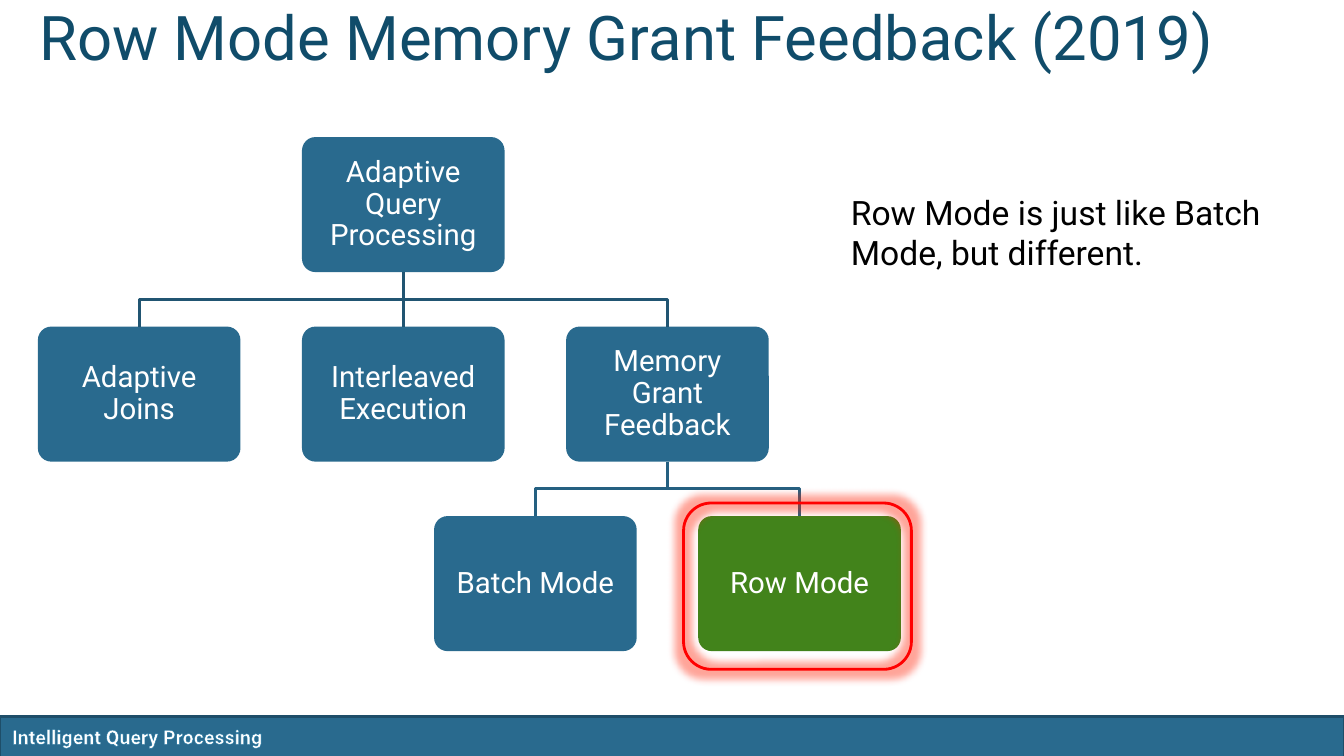
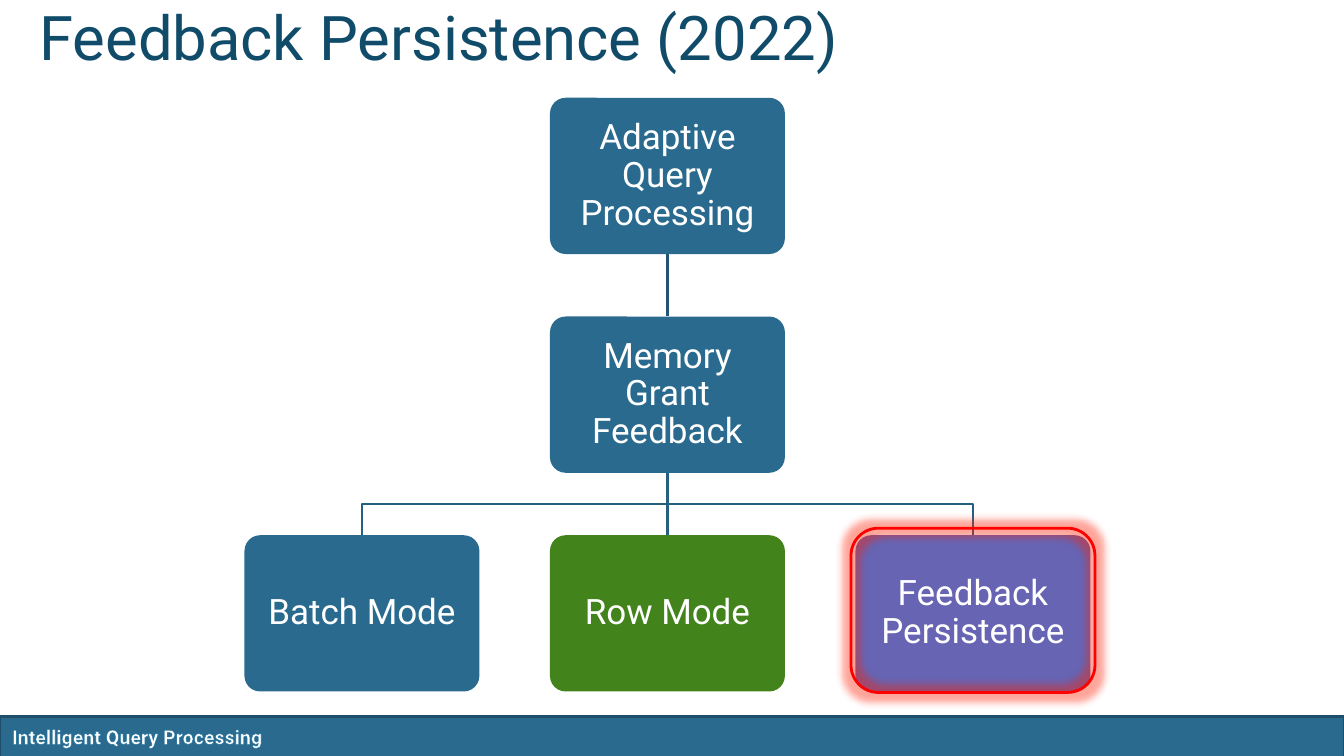
"""Build two slides of tree diagrams on intelligent query processing."""
from dataclasses import dataclass
from typing import Any

from lxml import etree
from pptx import Presentation
from pptx.dml.color import RGBColor
from pptx.enum.shapes import MSO_CONNECTOR, MSO_SHAPE
from pptx.enum.text import MSO_ANCHOR, MSO_AUTO_SIZE, PP_ALIGN
from pptx.oxml.ns import qn
from pptx.util import Inches, Pt

ROUNDED = MSO_SHAPE.ROUNDED_RECTANGLE
RECTANGLE = MSO_SHAPE.RECTANGLE
STRAIGHT = MSO_CONNECTOR.STRAIGHT
TOP, MIDDLE = MSO_ANCHOR.TOP, MSO_ANCHOR.MIDDLE
NO_FIT, GROW = MSO_AUTO_SIZE.NONE, MSO_AUTO_SIZE.SHAPE_TO_FIT_TEXT
LEFT, CENTER = PP_ALIGN.LEFT, PP_ALIGN.CENTER

FONT = "Roboto"
WHITE = RGBColor(0xFF, 0xFF, 0xFF)
BLACK = RGBColor(0x00, 0x00, 0x00)
BLUE = RGBColor(0x29, 0x6A, 0x8E)
GREEN = RGBColor(0x42, 0x83, 0x1B)
PURPLE = RGBColor(0x66, 0x64, 0xB3)
RED = RGBColor(0xFF, 0x00, 0x00)
GLOW = RGBColor(0xFF, 0x1E, 0x00)
TITLE_BLUE = RGBColor(0x10, 0x4C, 0x6A)
BAND_EDGE = RGBColor(0x1E, 0x4E, 0x69)
FOOTER_EDGE = RGBColor(0x18, 0x72, 0xA0)
BRANCH_COLORS = (RGBColor(0x21, 0x55, 0x72), RGBColor(0x25, 0x60, 0x81))
TITLE_FRAME = {"vertical_anchor": TOP, "auto_size": NO_FIT, "word_wrap": True}
TEXT_FRAME = {"vertical_anchor": TOP, "auto_size": GROW, "word_wrap": True}


@dataclass(frozen=True)
class Area:
    """A rectangle in inches."""
    left: float
    top: float
    width: float
    height: float

    def lengths(self) -> list[Any]:
        """Return the four measures as lengths."""
        return [Inches(v) for v in (self.left, self.top, self.width, self.height)]


@dataclass(frozen=True)
class Node:
    """A tree box: its column, level and the index of its parent."""
    text: str
    column: float
    level: int
    parent: int | None = None
    fill: RGBColor = BLUE


@dataclass(frozen=True)
class Tree:
    """A tree and the rules of its grid."""
    center: float
    top: float
    column_step: float
    level_step: float
    width: float
    height: float
    size: int
    margin: float
    nodes: tuple[Node, ...]

    def area(self, node: Node) -> Area:
        """Return the place of a node."""
        middle = self.center + node.column * self.column_step
        return Area(middle - self.width / 2, self.top + node.level * self.level_step,
                    self.width, self.height)


@dataclass(frozen=True)
class Page:
    """The content of one slide."""
    title: str
    tree: Tree
    highlight: Area
    note: str = ""


ROOT = Node("Adaptive Query Processing", 0, 0)
PAGES = (
    Page("Row Mode Memory Grant Feedback (2019)",
         Tree(4, 1.36, 2.62, 1.88, 2.01, 1.34, 21, 0.09, (
             ROOT,
             Node("Adaptive Joins", -1, 1, 0),
             Node("Interleaved Execution", 0, 1, 0),
             Node("Memory Grant Feedback", 1, 1, 0),
             Node("Batch Mode", 0.5, 2, 3),
             Node("Row Mode", 1.5, 2, 3, GREEN))),
         Area(6.78, 4.99, 2.26, 1.65),
         "Row Mode is just like Batch Mode, but different."),
    Page("Feedback Persistence (2022)",
         Tree(6.62, 0.97, 3.03, 2.17, 2.33, 1.55, 25, 0.1, (
             ROOT,
             Node("Memory Grant Feedback", 0, 1, 0),
             Node("Batch Mode", -1, 2, 1),
             Node("Row Mode", 0, 2, 1, GREEN),
             Node("Feedback Persistence", 1, 2, 1, PURPLE))),
         Area(8.44, 5.24, 2.42, 1.63)),
)


def apply_format(target: Any, values: dict[str, Any]) -> None:
    """Set each named attribute of the target."""
    for name, value in values.items():
        setattr(target, name, value)


def write_text(box: Any, text: str, size: int, color: RGBColor,
               frame_format: dict[str, Any], para_format: dict[str, Any],
               bold: bool = False) -> Any:
    """Write one formatted paragraph and return its span."""
    frame = box.text_frame
    apply_format(frame, frame_format)
    para = frame.paragraphs[0]
    apply_format(para, para_format)
    span = para.add_run()
    span.text = text
    apply_format(span.font, {"name": FONT, "size": Pt(size), "bold": bold})
    span.font.color.rgb = color
    return span


def set_line(shape: Any, color: RGBColor) -> None:
    """Give a shape a two-point line."""
    shape.line.color.rgb = color
    shape.line.width = Pt(2)


def add_color(parent: Any, color: RGBColor) -> Any:
    """Append an XML colour element."""
    return etree.SubElement(parent, qn("a:srgbClr"), val=str(color))


def add_footer(slide: Any) -> None:
    """Draw the bottom band and its label."""
    band = slide.shapes.add_shape(RECTANGLE, *Area(0, 7.11, 13.33, 0.4).lengths())
    band.shadow.inherit = False
    band.fill.solid()
    band.fill.fore_color.rgb = BLUE
    set_line(band, BAND_EDGE)
    label = slide.shapes.add_textbox(*Area(0.02, 7.14, 6.06, 0.34).lengths())
    span = write_text(label, "Intelligent Query Processing", 14, WHITE,
                      TEXT_FRAME, {"alignment": LEFT}, bold=True)
    outline = etree.Element(qn("a:ln"), w=str(Pt(0.8)))
    add_color(etree.SubElement(outline, qn("a:solidFill")), FOOTER_EDGE)
    span.font._element.insert(0, outline)


def add_title(slide: Any, text: str) -> None:
    """Place and write the slide title."""
    title = slide.shapes.title
    places = Area(0.29, 0.19, 12, 1.25).lengths()
    apply_format(title, dict(zip(("left", "top", "width", "height"), places)))
    write_text(title, text, 44, TITLE_BLUE, TITLE_FRAME,
               {"alignment": LEFT, "line_spacing": Pt(35)})


def add_node(slide: Any, tree: Tree, node: Node) -> Any:
    """Draw one tree box."""
    box = slide.shapes.add_shape(ROUNDED, *tree.area(node).lengths())
    box.adjustments[0] = 0.1
    box.shadow.inherit = False
    box.fill.solid()
    box.fill.fore_color.rgb = node.fill
    box.line.fill.background()
    frame_format: dict[str, Any] = {"vertical_anchor": MIDDLE, "word_wrap": True}
    for side in ("left", "top", "right", "bottom"):
        frame_format[f"margin_{side}"] = Inches(tree.margin)
    write_text(box, node.text, tree.size, WHITE, frame_format,
               {"alignment": CENTER, "line_spacing": 0.9})
    return box


def add_branch(slide: Any, parent: Any, child: Any, color: RGBColor) -> None:
    """Join a parent box to a child box."""
    start_x, start_y = parent.left + parent.width // 2, parent.top + parent.height
    end_x, end_y = child.left + child.width // 2, child.top
    if start_x == end_x:
        line = slide.shapes.add_connector(STRAIGHT, start_x, start_y, end_x, end_y)
        line.begin_connect(parent, 2)
        line.end_connect(child, 0)
        set_line(line, color)
        etree.SubElement(line._element.spPr, qn("a:effectLst"))
        return
    bend_y = (start_y + end_y) // 2
    builder = slide.shapes.build_freeform(start_x, start_y)
    builder.add_line_segments(
        [(start_x, bend_y), (end_x, bend_y), (end_x, end_y)], close=False)
    elbow = builder.convert_to_shape()
    elbow.shadow.inherit = False
    elbow.fill.background()
    set_line(elbow, color)


def add_tree(slide: Any, tree: Tree) -> None:
    """Draw the boxes of a tree and the branches between them."""
    boxes = [add_node(slide, tree, node) for node in tree.nodes]
    for node, box in zip(tree.nodes, boxes):
        if node.parent is not None:
            add_branch(slide, boxes[node.parent], box, BRANCH_COLORS[node.level - 1])


def add_highlight(slide: Any, area: Area) -> None:
    """Draw a glowing red frame."""
    frame = slide.shapes.add_shape(ROUNDED, *area.lengths())
    frame.fill.background()
    set_line(frame, RED)
    effects = etree.SubElement(frame._element.spPr, qn("a:effectLst"))
    glow = etree.SubElement(effects, qn("a:glow"), rad=str(Pt(11)))
    etree.SubElement(add_color(glow, GLOW), qn("a:alpha"), val="40000")


def add_page(deck: Any, page: Page) -> None:
    """Add one slide to the deck."""
    slide = deck.slides.add_slide(deck.slide_layouts[5])
    add_footer(slide)
    add_title(slide, page.title)
    add_tree(slide, page.tree)
    add_highlight(slide, page.highlight)
    if page.note:
        note = slide.shapes.add_textbox(*Area(8.34, 1.85, 4.89, 0.91).lengths())
        write_text(note, page.note, 24, BLACK, TEXT_FRAME, {"alignment": LEFT})


def main() -> None:
    """Build and save the deck."""
    deck = Presentation()
    deck.slide_width, deck.slide_height = Inches(13.33), Inches(7.5)
    for page in PAGES:
        add_page(deck, page)
    deck.save("out.pptx")


if __name__ == "__main__":
    main()
